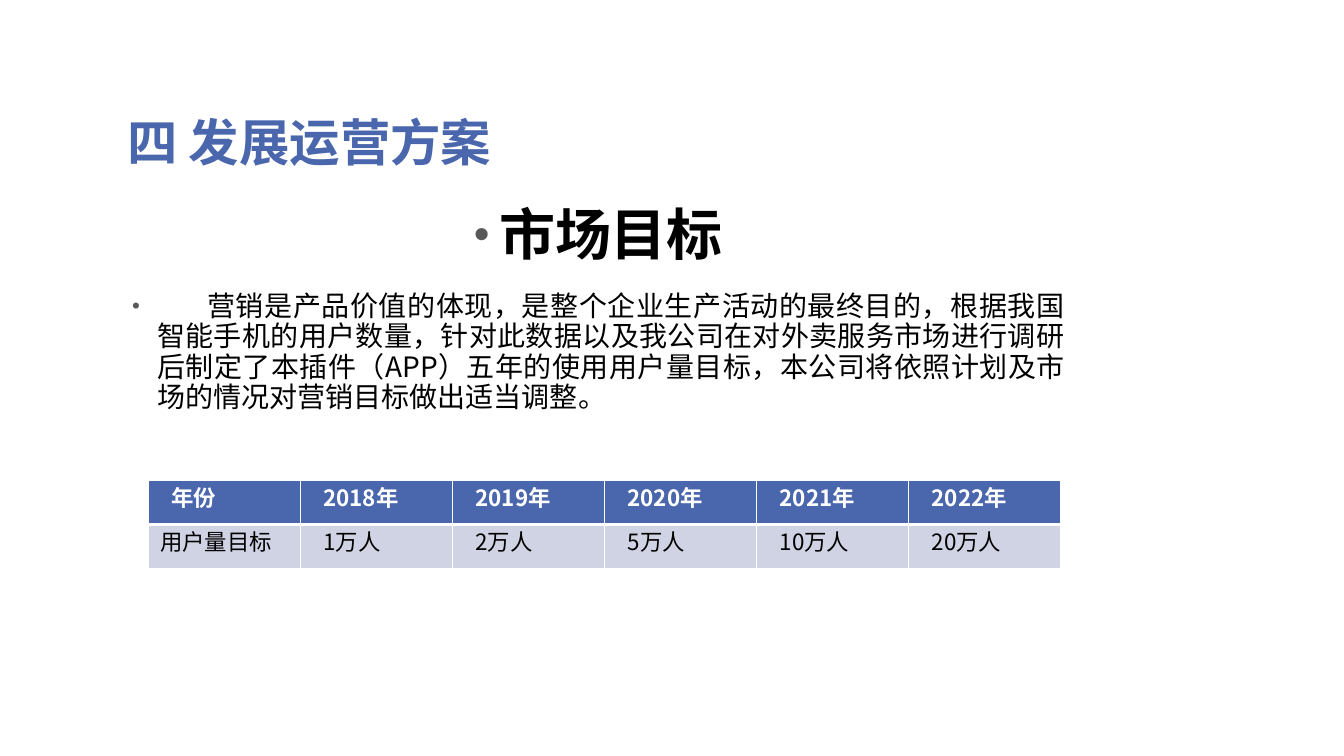
import pptx
import pptx.dml.color
import pptx.enum.text
import pptx.oxml
import pptx.oxml.ns
import pptx.util
from pptx.util import Inches

COLORS = {"blue": "4A66AC", "pale": "D0D3E3", "white": "FFFFFF",
          "black": "000000", "bullet": "595959"}
CJK_FONT = "Noto Sans CJK SC"
LATIN_FONT = "Calibri"
ALIGN = pptx.enum.text.PP_ALIGN
ANCHOR = pptx.enum.text.MSO_ANCHOR

INTRODUCTION = (
    "营销是产品价值的体现，是整个企业生产活动的最终目的，根据我国智能手机的用户数量，"
    "针对此数据以及我公司在对外卖服务市场进行调研后制定了本插件（APP）五年的使用用户量目标，"
    "本公司将依照计划及市场的情况对营销目标做出适当调整。")
# Each cell is a label or number and the unit after it
TARGETS = [
    [("年份", "")] + [(str(year), "年") for year in range(2018, 2023)],
    [("用户量目标", "")] + [(str(count), "万人") for count in (1, 2, 5, 10, 20)],
]


def rgb(name):
    return pptx.dml.color.RGBColor.from_string(COLORS[name])


def parse(tag, attributes="", content=""):
    namespace = pptx.oxml.ns.nsdecls("a")
    return pptx.oxml.parse_xml(f"<a:{tag} {namespace} {attributes}>{content}</a:{tag}>")


def solid_fill(name):
    return f'<a:solidFill><a:srgbClr val="{COLORS[name]}"/></a:solidFill>'


def set_font(font, size, color, bold, name=CJK_FONT):
    font.name = name
    font.size = pptx.util.Pt(size)
    font.bold = bold
    font.color.rgb = rgb(color)


def place(shape, left, top, width, height, anchor):
    shape.left, shape.top = Inches(left), Inches(top)
    shape.width, shape.height = Inches(width), Inches(height)
    shape.text_frame.vertical_anchor = anchor
    shape.text_frame.auto_size = pptx.enum.text.MSO_AUTO_SIZE.NONE


def add_title(slide, text):
    title = slide.shapes.title
    place(title, 1.16, 0.58, 9.5, 1.17, ANCHOR.BOTTOM)
    title.text_frame.text = text
    paragraph = title.text_frame.paragraphs[0]
    paragraph.alignment = ALIGN.LEFT
    paragraph.line_spacing = 0.8
    set_font(paragraph.font, 36, "blue", True)


def format_bullet(paragraph, alignment, size, bold, tab_stop=None):
    paragraph.alignment = alignment
    paragraph.line_spacing = 0.9
    paragraph.space_before = pptx.util.Pt(18)
    properties = paragraph._p.get_or_add_pPr()
    properties.set("marL", str(Inches(0.3)))
    properties.set("indent", str(Inches(-0.25)))
    properties.append(parse("buClr", content=f'<a:srgbClr val="{COLORS["bullet"]}"/>'))
    properties.append(parse("buSzPct", 'val="80000"'))
    properties.append(parse("buChar", 'char="•"'))
    if tab_stop:
        stop = f'<a:tab pos="{Inches(tab_stop)}" algn="l"/>'
        properties.append(parse("tabLst", content=stop))
    set_font(paragraph.font, size, "black", bold)


def add_body(slide, heading, text):
    body = slide.placeholders[1]
    place(body, 1.16, 2, 9.5, 4.58, ANCHOR.TOP)
    body.text_frame.text = f"{heading}\n\t{text}"
    first, second = body.text_frame.paragraphs
    format_bullet(first, ALIGN.CENTER, 40, True)
    format_bullet(second, ALIGN.JUSTIFY, 20, False, tab_stop=0.79)


def set_borders(cell, widths):
    properties = cell._tc.get_or_add_tcPr()
    for side, width in zip("LRTB", widths):
        line_width = pptx.util.Pt(width)
        properties.append(parse(f"ln{side}", f'w="{line_width}"', solid_fill("white")))


def fill_cell(cell, parts, is_header, left_margin):
    cell.margin_left, cell.margin_right = Inches(left_margin), Inches(0.07)
    cell.margin_top = cell.margin_bottom = 0
    set_borders(cell, (1, 1, 1, 3) if is_header else (1, 1, 3, 1))
    cell.fill.solid()
    cell.fill.fore_color.rgb = rgb("blue" if is_header else "pale")
    paragraph = cell.text_frame.paragraphs[0]
    paragraph.alignment = ALIGN.JUSTIFY
    for text, font_name in zip(parts, (CJK_FONT, LATIN_FONT)):
        if text:
            run = paragraph.add_run()
            run.text = text
            set_font(run.font, 16, "white" if is_header else "black", is_header, font_name)


def add_targets_table(slide, rows):
    table = slide.shapes.add_table(
        len(rows), len(rows[0]), Inches(1.47), Inches(4.77),
        Inches(9.05), Inches(0.87)).table
    for row_index, row in enumerate(rows):
        for column_index, parts in enumerate(row):
            is_row_label = row_index == 1 and column_index == 0
            fill_cell(table.cell(row_index, column_index), parts,
                      row_index == 0, 0.12 if is_row_label else 0.23)


def match_east_asian_fonts(slide):
    for latin in list(slide.element.iter(pptx.oxml.ns.qn("a:latin"))):
        typeface = latin.get("typeface")
        latin.addnext(parse("ea", f'typeface="{typeface}"'))


def main():
    presentation = pptx.Presentation()
    presentation.slide_width = Inches(13.33)
    presentation.slide_height = Inches(7.5)
    slide = presentation.slides.add_slide(presentation.slide_layouts[1])

    # Title and introduction
    add_title(slide, "四 发展运营方案")
    add_body(slide, "市场目标", INTRODUCTION)

    # Five-year user targets
    add_targets_table(slide, TARGETS)

    match_east_asian_fonts(slide)
    presentation.save("out.pptx")


if __name__ == "__main__":
    main()
